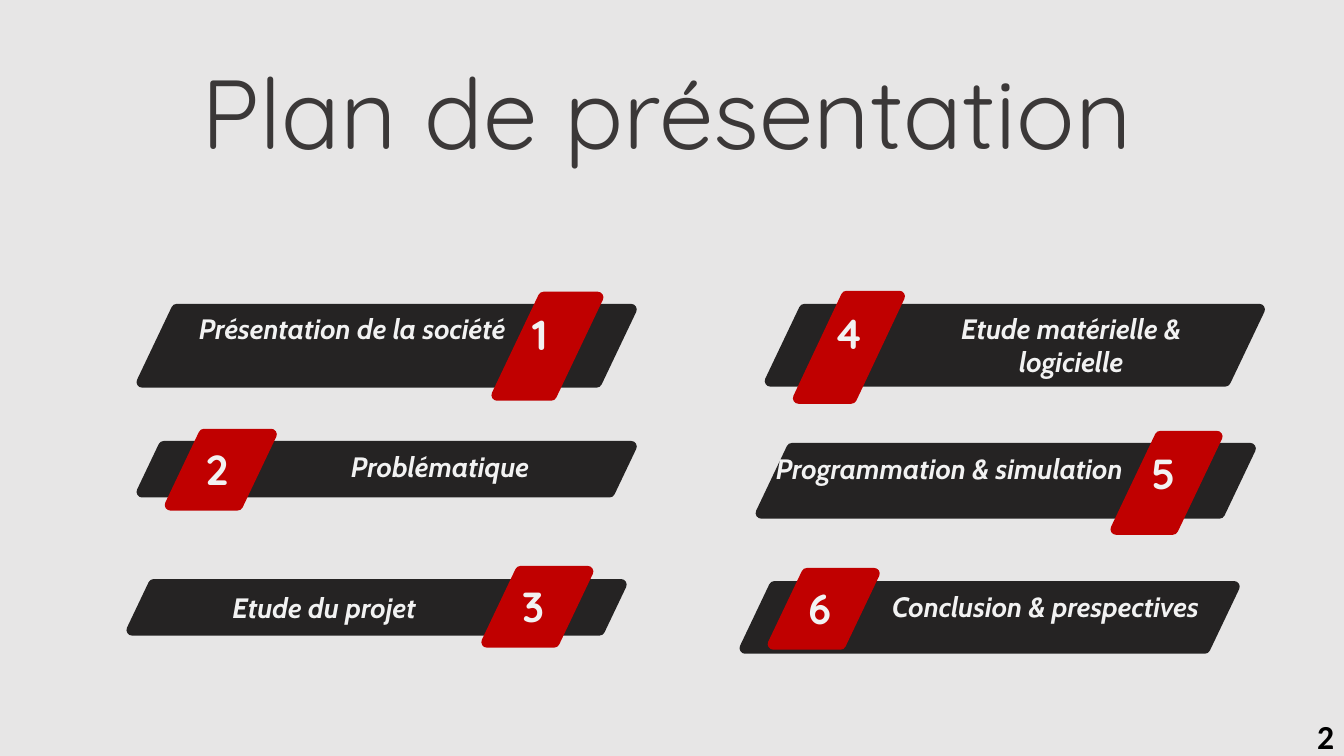
import pptx
import pptx.util
import pptx.dml.color
import pptx.enum.shapes
import pptx.enum.text
import pptx.oxml.ns
import lxml.etree

PX = 9144  # 100 px to the inch
RGBColor = pptx.dml.color.RGBColor
ALIGN = pptx.enum.text.PP_ALIGN
ANCHOR = pptx.enum.text.MSO_ANCHOR

BACKGROUND = RGBColor(0xE7, 0xE6, 0xE6)
TITLE = RGBColor(0x3B, 0x38, 0x38)
BAR = RGBColor(0x25, 0x23, 0x23)
BADGE = RGBColor(0xC0, 0x00, 0x00)
LIGHT = RGBColor(0xF2, 0xF2, 0xF2)
BLACK = RGBColor(0x00, 0x00, 0x00)

BAR_W, BADGE_W = 485, 100
BADGE_OFFSET = {"left": 28, "right": 352}

# label, bar (x, y, h), badge side, badge (y, h), label (x, y, w, h)
TOPICS = [
    ("Présentation de la société", (141, 307, 72), "right", (295, 97), (186, 304, 327, 44)),
    ("Problématique", (141, 443, 45), "left", (431, 70), (269, 441, 335, 44)),
    ("Etude du projet", (131, 580, 45), "right", (567, 70), (137, 581, 369, 44)),
    ("Etude matérielle & logicielle", (764, 307, 71), "left", (294, 101), (896, 304, 333, 77)),
    ("Programmation & simulation", (755, 445, 64), "right", (433, 92), (757, 443, 369, 44)),
    ("Conclusion & prespectives", (739, 582, 61), "left", (569, 70), (852, 580, 370, 44)),
]


class Deck:
    def __init__(self, width, height):
        self.prs = pptx.Presentation()
        self.prs.slide_width, self.prs.slide_height = width * PX, height * PX
        self.slide = self.prs.slides.add_slide(self.prs.slide_layouts[6])
        fill = self.slide.background.fill
        fill.solid()
        fill.fore_color.rgb = BACKGROUND

    def slanted_box(self, shapes, box, color):
        """Parallelogram whose thick round-joined outline softens its corners."""
        kind = pptx.enum.shapes.MSO_SHAPE.PARALLELOGRAM
        sp = shapes.add_shape(kind, *(v * PX for v in box))
        sp.adjustments[0] = 0.476
        sp.shadow.inherit = False
        sp.fill.solid()
        sp.fill.fore_color.rgb = color
        sp.line.color.rgb = color
        sp.line.width = pptx.util.Pt(8)
        ln = sp.line._get_or_add_ln()
        lxml.etree.SubElement(ln, pptx.oxml.ns.qn("a:round"))

    def text(self, shapes, box, text, font, size, color, bold=True, italic=False,
             align=ALIGN.CENTER, anchor=ANCHOR.TOP):
        tf = shapes.add_textbox(*(v * PX for v in box)).text_frame
        tf.word_wrap = True
        tf.vertical_anchor = anchor
        if anchor == ANCHOR.TOP:
            tf.auto_size = pptx.enum.text.MSO_AUTO_SIZE.SHAPE_TO_FIT_TEXT
        p = tf.paragraphs[0]
        p.text = text
        p.alignment = align
        p.font.name = font
        p.font.size = pptx.util.Pt(size)
        p.font.bold = bold
        p.font.italic = italic
        p.font.color.rgb = color

    def badge(self, x, y, h, number):
        shapes = self.slide.shapes.add_group_shape().shapes
        self.slanted_box(shapes, (x, y, BADGE_W, h), BADGE)
        text_h = round(h * 0.87)
        self.text(shapes, (x + 25, y + (h - text_h) // 2, 51, text_h), str(number),
                  "Quicksand", 30, LIGHT, align=ALIGN.LEFT)

    def topic(self, number, label, bar, side, badge, label_box):
        x, y, h = bar
        shapes = self.slide.shapes
        self.slanted_box(shapes, (x, y, BAR_W, h), BAR)
        self.text(shapes, label_box, label, "Cabin", 20, LIGHT, italic=True)
        self.badge(x + BADGE_OFFSET[side], *badge, number)


def main():
    deck = Deck(1333, 750)
    shapes = deck.slide.shapes
    deck.text(shapes, (149, 46, 1024, 128), "Plan de présentation",
              "Quicksand", 70, TITLE, bold=False)
    for number, topic in enumerate(TOPICS, 1):
        deck.topic(number, *topic)
    deck.text(shapes, (1033, 710, 300, 40), "2", "Calibri", 24, BLACK,
              align=ALIGN.RIGHT, anchor=ANCHOR.MIDDLE)
    deck.prs.save("out.pptx")


if __name__ == "__main__":
    main()
